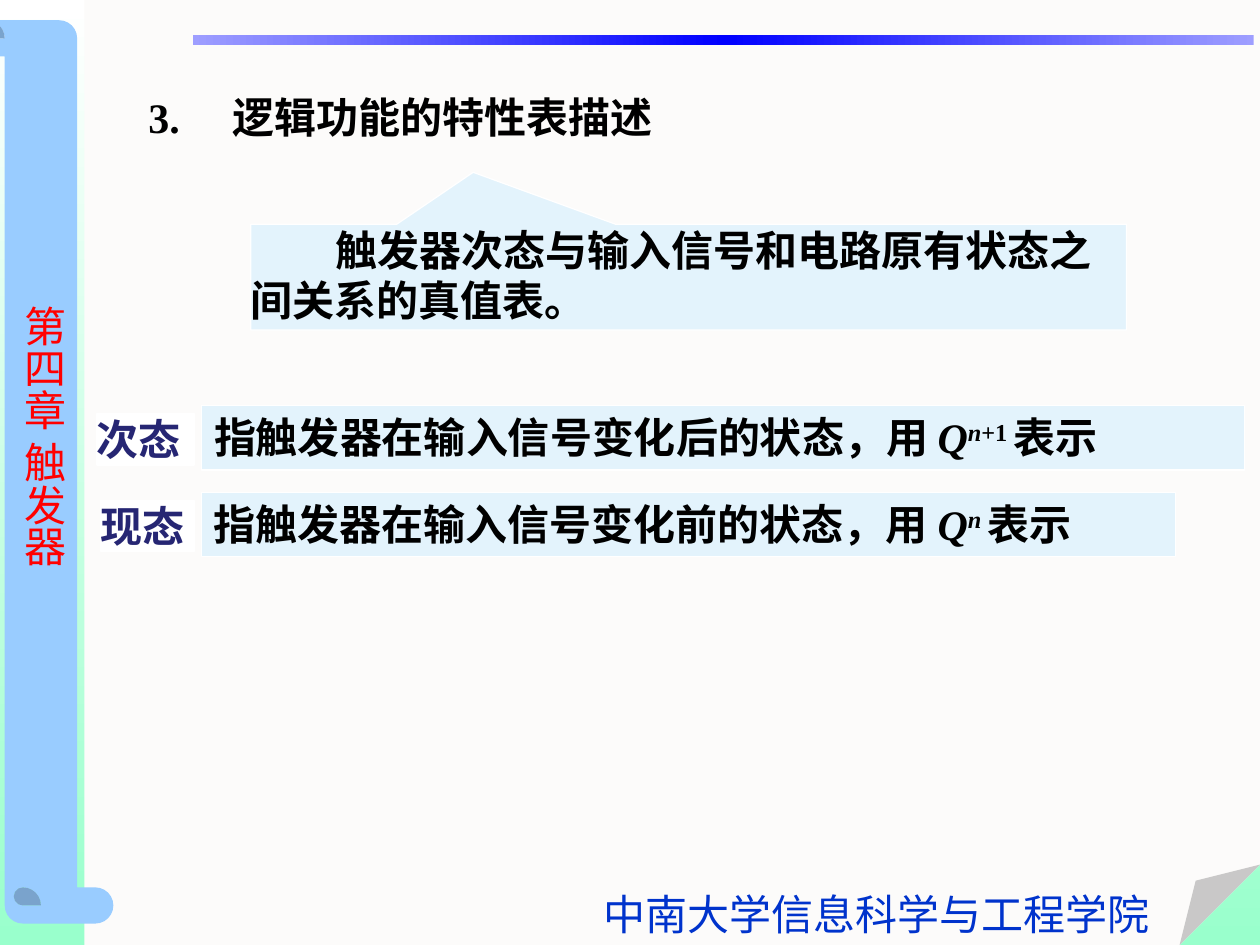
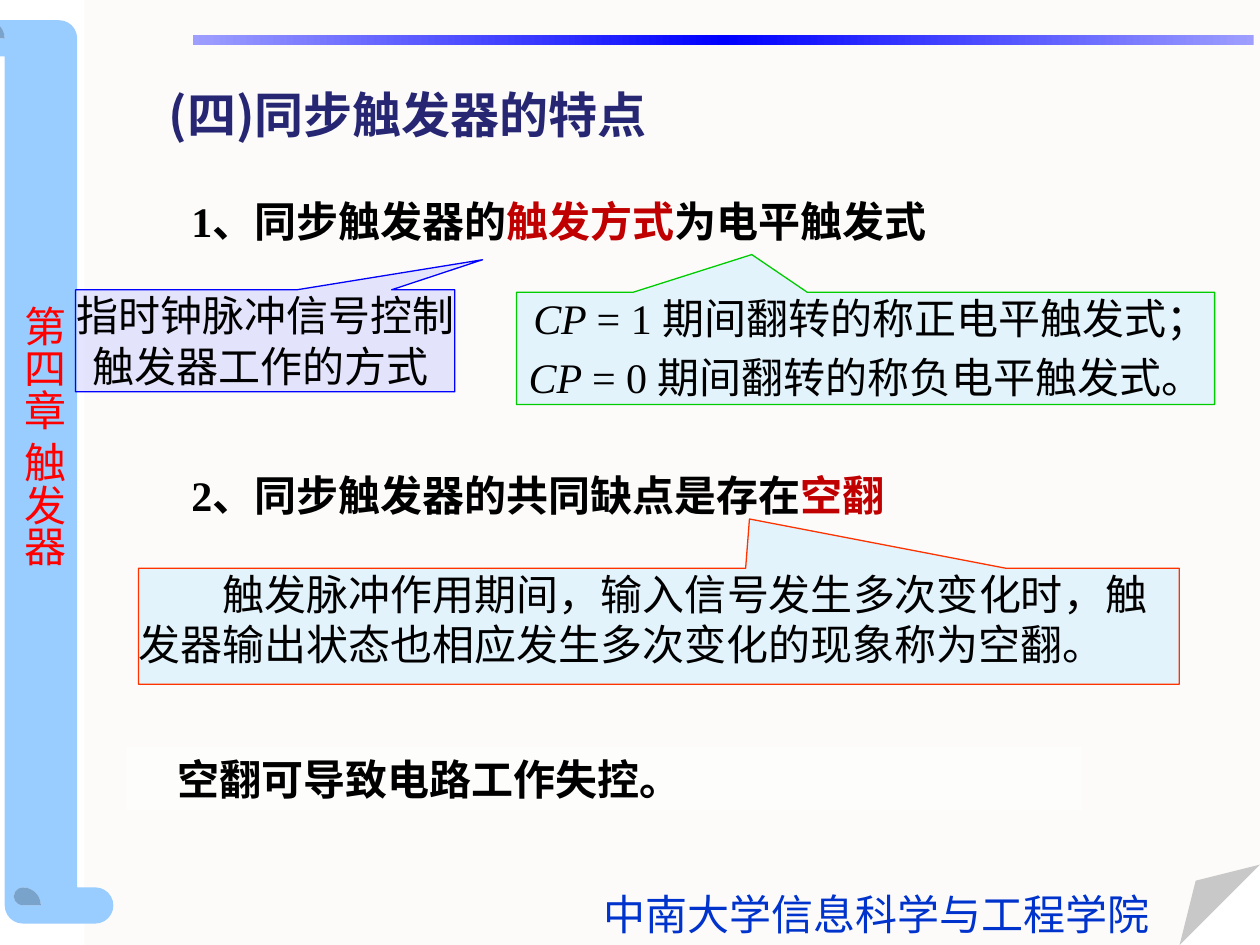
from pptx import Presentation
from pptx.dml.color import RGBColor
from pptx.enum.shapes import MSO_SHAPE
from pptx.enum.text import MSO_ANCHOR, MSO_AUTO_SIZE, PP_ALIGN
from pptx.oxml.ns import qn
from pptx.util import Inches, Pt
from lxml.etree import SubElement
from copy import deepcopy

SERIF, SANS = "Times New Roman", "Noto Sans CJK SC"
BLACK, WHITE, NAVY, RED = "000000", "FFFFFF", "262673", "C00000"
PALE_BLUE, LILAC, MINT, PAPER = "CCECFF", "CCCCFF", "99FFCC", "FCFBFA"
INDENT = 0.67  # two characters at 24 pt


def rgb(color):
    return RGBColor.from_string(color)


def gradient(fill, colors, angle):
    """Fill with evenly spaced colour stops."""
    fill.gradient()
    fill.gradient_angle = angle
    first = fill.gradient_stops[0]._gs
    for _ in colors[2:]:
        first.addnext(deepcopy(first))
    for i, (stop, color) in enumerate(zip(fill.gradient_stops, colors)):
        stop.position = i / (len(colors) - 1)
        stop.color.rgb = rgb(color)


def write(sp, *paras, size=24, font=SERIF, color=BLACK, bold=False, inset=None,
          wrap=True, grow=True, align=PP_ALIGN.LEFT, first=0, hanging=0, before=0):
    """Each paragraph is a string or a list of strings and (string, format) pairs."""
    tf = sp.text_frame
    tf.word_wrap = wrap
    tf.auto_size = MSO_AUTO_SIZE.SHAPE_TO_FIT_TEXT if grow else MSO_AUTO_SIZE.NONE
    tf.vertical_anchor = MSO_ANCHOR.TOP
    if inset is not None:
        tf.margin_left = tf.margin_top = tf.margin_right = tf.margin_bottom = Inches(inset)
    for i, runs in enumerate(paras):
        p = tf.add_paragraph() if i else tf.paragraphs[0]
        p.alignment = align
        if i:
            p.space_before = Pt(before)
        if first or hanging:
            pPr = p._p.get_or_add_pPr()
            pPr.set("marL", str(Inches(hanging)))
            pPr.set("indent", str(Inches(first - hanging)))
        for run in [runs] if isinstance(runs, str) else runs:
            text, fmt = (run, {}) if isinstance(run, str) else run
            r = p.add_run()
            r.text = text
            r.font.size, r.font.name = Pt(size), font
            r.font.bold = bold
            r.font.italic = fmt.get("italic", False)
            r.font.color.rgb = rgb(fmt.get("color", color))
            rPr = r._r.get_or_add_rPr()
            if fmt.get("raised"):
                rPr.set("baseline", "30000")
            SubElement(rPr, qn("a:ea")).set("typeface", SANS)
    return sp


def textbox(s, box, *paras, **fmt):
    return write(s.shapes.add_textbox(*map(Inches, box)), *paras, **fmt)


def adjust(sp, values):
    """Set the guides of a preset shape: adj, or adj1, adj2 and so on."""
    guides = sp._element.spPr.find(qn("a:prstGeom")).find(qn("a:avLst"))
    for guide in list(guides):
        guides.remove(guide)
    for i, value in enumerate(values, 1):
        guide = SubElement(guides, qn("a:gd"))
        guide.set("name", f"adj{i}" if len(values) > 1 else "adj")
        guide.set("fmla", f"val {round(value * 100000)}")


def shape(s, kind, box, fill=None, line=None, alpha=None, adj=()):
    sp = s.shapes.add_shape(kind, *map(Inches, box))
    sp.shadow.inherit = False
    if fill:
        sp.fill.solid()
        sp.fill.fore_color.rgb = rgb(fill)
    if alpha:
        srgb = sp._element.spPr.find(qn("a:solidFill")).find(qn("a:srgbClr"))
        SubElement(srgb, qn("a:alpha")).set("val", str(alpha * 1000))
    if line:
        sp.line.color.rgb = rgb(line)
        sp.line.width = Pt(0.75)
    else:
        sp.line.fill.background()
    if adj:
        adjust(sp, adj)
    return sp


def callout(s, box, tip, fill, line, *paras, **fmt):
    sp = shape(s, MSO_SHAPE.RECTANGULAR_CALLOUT, box, fill, line, alpha=50, adj=tip)
    return write(sp, *paras, inset=0, **fmt)


def frame(s):
    """Page, scroll, top band and footer shared by all slides."""
    shape(s, MSO_SHAPE.FOLDED_CORNER, (0.67, 0, 9.33, 7.5), PAPER, adj=[0.085])
    scroll = shape(s, MSO_SHAPE.HORIZONTAL_SCROLL, (-3.26, 3.17, 7.17, 1.15),
                   "99CCFF", adj=[0.25])
    scroll.rotation = 270
    band = shape(s, MSO_SHAPE.RECTANGLE, (1.53, 0.28, 8.42, 0.08))
    gradient(band.fill, ["9E9EFF", "0000FF", "9E9EFF"], 0)
    textbox(s, (4.69, 7, 4.53, 0.5), "中南大学信息科学与工程学院",
            color="0033CC", wrap=False)
    chapter = textbox(s, (0, 2.33, 0.6, 2.27), "第四章 触发器",
                      font=SANS, color="FF0000", wrap=False)
    chapter.text_frame._txBody.bodyPr.set("vert", "eaVert")


def state_row(s, box, label_width, term, definition):
    """A term on white, then its definition on pale blue."""
    x, y, w, h = box
    label = shape(s, MSO_SHAPE.RECTANGLE, (x, y + 0.06, label_width, 0.41), WHITE, WHITE)
    write(label, term, color=NAVY, bold=True, inset=0)
    left = x + label_width + 0.06
    body = shape(s, MSO_SHAPE.RECTANGLE, (left, y, x + w - left, h),
                 PALE_BLUE, WHITE, alpha=50)
    write(body, definition, bold=True)


def characteristic_table_slide(s):
    gradient(s.background.fill, [WHITE, MINT], 270)
    frame(s)
    textbox(s, (1.08, 0.68, 4.39, 0.5), "3.\t逻辑功能的特性表描述",
            bold=True, hanging=INDENT)
    # Present and next state
    q, n = ("Q", {"italic": True}), {"italic": True, "raised": True}
    state_row(s, (0.8, 3.91, 8.53, 0.51), 0.74, "现态",
              ["指触发器在输入信号变化前的状态，用 ", q, ("n ", n), "表示"])
    state_row(s, (0.77, 3.22, 9.11, 0.51), 0.77, "次态",
              ["指触发器在输入信号变化后的状态，用 ", q, ("n", n),
               ("+1 ", {"raised": True}), "表示"])
    # Meaning of the table
    callout(s, (1.99, 1.78, 6.95, 0.84), (-0.246, -0.991), PALE_BLUE, WHITE,
            "触发器次态与输入信号和电路原有状态之间关系的真值表。",
            bold=True, grow=False, first=INDENT)


def features_slide(s):
    s.background.fill.solid()
    s.background.fill.fore_color.rgb = rgb(WHITE)
    frame(s)
    textbox(s, (1.24, 0.62, 5.68, 0.57), "(四)同步触发器的特点",
            size=28, font=SANS, color=NAVY, bold=True)
    # Numbered points
    key = {"color": RED}
    textbox(s, (1.42, 1.5, 6.18, 0.5),
            ["1、同步触发器的", ("触发方式", key), "为电平触发式"], bold=True)
    textbox(s, (1.42, 3.68, 6.7, 0.5),
            ["2、同步触发器的共同缺点是存在", ("空翻", key)], bold=True)
    # Explanations
    callout(s, (1.1, 4.51, 8.26, 0.92), (0.087, -0.925), PALE_BLUE, "FF3300",
            "触发脉冲作用期间，输入信号发生多次变化时，触发器输出状态也相应发生多次变化的现象称为空翻。",
            font=SANS, grow=False, first=INDENT)
    callout(s, (0.6, 2.3, 3.01, 0.81), (0.573, -0.795), LILAC, "0000FF",
            "指时钟脉冲信号控制", "触发器工作的方式 ",
            wrap=False, align=PP_ALIGN.CENTER)
    cp = (" CP ", {"italic": True})
    callout(s, (4.1, 2.32, 5.54, 0.89), (-0.163, -0.837), PALE_BLUE, "00CC00",
            [cp, "= 1 期间翻转的称正电平触发式；"],
            [cp, "= 0 期间翻转的称负电平触发式。 "],
            wrap=False, align=PP_ALIGN.CENTER, before=4.8)
    # Conclusion
    note = shape(s, MSO_SHAPE.RECTANGLE, (1.01, 5.93, 7.58, 0.5), WHITE, alpha=50)
    write(note, "空翻可导致电路工作失控。", font=SANS, bold=True, first=0.3)


def main():
    prs = Presentation()
    prs.slide_width, prs.slide_height = Inches(10), Inches(7.5)
    for build in (characteristic_table_slide, features_slide):
        build(prs.slides.add_slide(prs.slide_layouts[6]))
    prs.save("out.pptx")


if __name__ == "__main__":
    main()
